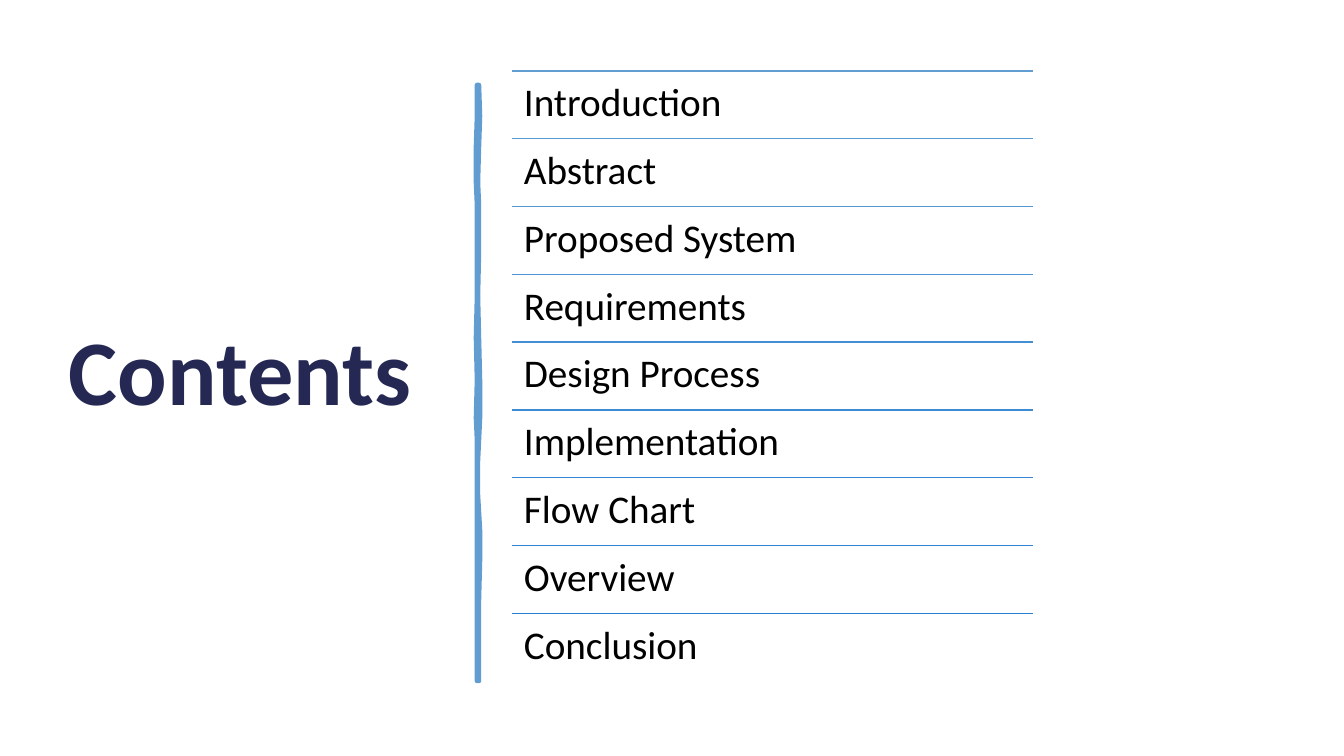
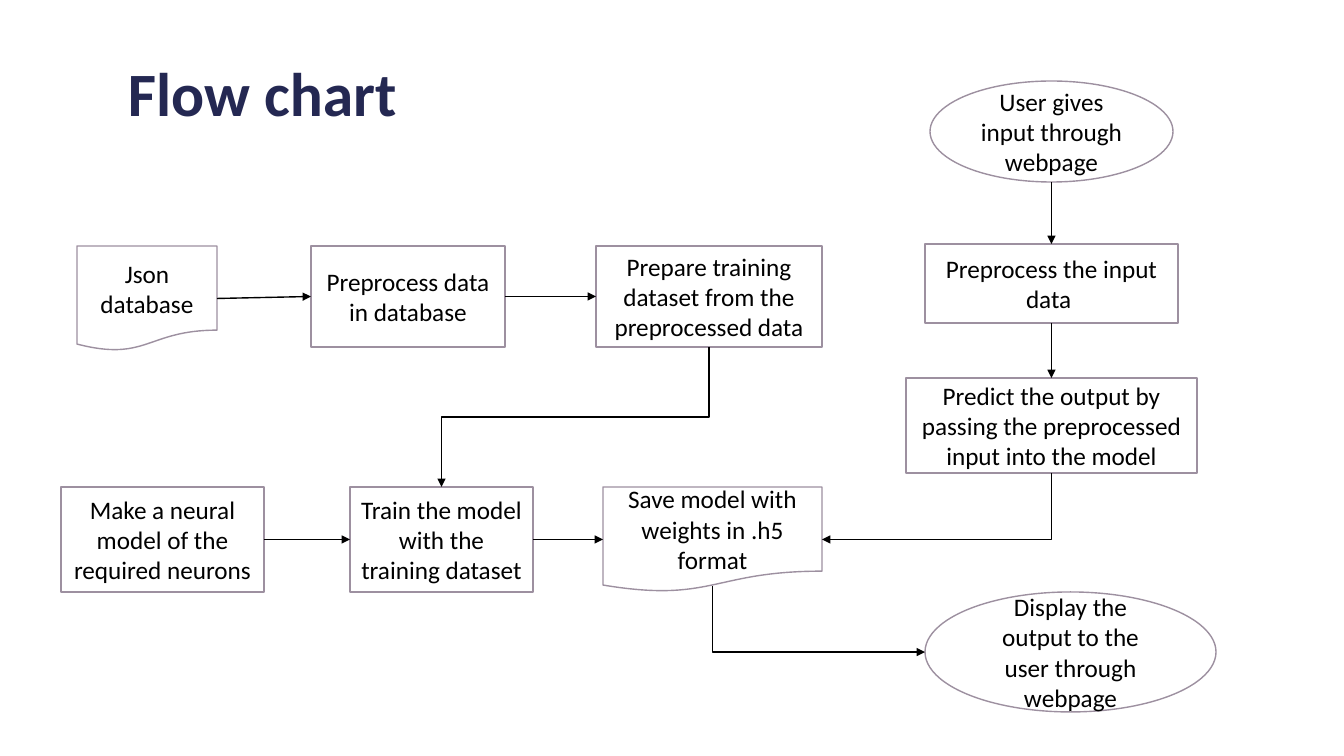
from dataclasses import dataclass

from lxml.etree import SubElement
from pptx import Presentation
from pptx.dml.color import RGBColor
from pptx.enum.shapes import MSO_CONNECTOR as Connector, MSO_SHAPE as Shape
from pptx.enum.text import MSO_ANCHOR as Anchor, PP_ALIGN as Align
from pptx.oxml.ns import qn
from pptx.util import Pt


@dataclass(frozen=True)
class Theme:
    """Colours, type sizes and line widths shared by the slides."""
    font: str = "Calibri"
    title: RGBColor = RGBColor(0x24, 0x28, 0x52)
    text: RGBColor = RGBColor(0, 0, 0)
    paper: RGBColor = RGBColor(255, 255, 255)
    outline: RGBColor = RGBColor(0x9D, 0x90, 0xA0)
    rule_first: RGBColor = RGBColor(0x62, 0x9D, 0xD1)
    rule_last: RGBColor = RGBColor(0x29, 0x7F, 0xD5)
    big_title_size: float = 66
    title_size: float = 44
    topic_size: float = 28
    node_size: float = 18
    line_width: float = 1
    bar_width: float = 3.25


THEME = Theme()
EMU_PER_PIXEL = 914400 / 100.8
SLIDE_SIZE = (1344, 756)

CONTENTS_TITLE = ("Contents", (59, 285, 377, 181))
TOPICS = ["Introduction", "Abstract", "Proposed System", "Requirements",
          "Design Process", "Implementation", "Flow Chart", "Overview",
          "Conclusion"]
TOPIC_AREA = (512, 71, 521, 610)
TOPIC_INSET = 12
# y, left x and right x down the hand-drawn bar
BAR_EDGES = [
    (85, 477, 479), (116, 477, 480), (147, 476, 479), (182, 476, 478),
    (205, 477, 479), (252, 477, 479), (296, 477, 478), (338, 476, 479),
    (380, 477, 480), (418, 476, 480), (440, 477, 479), (461, 477, 478),
    (495, 477, 478), (530, 477, 480), (561, 477, 480), (600, 477, 479),
    (640, 477, 479), (681, 477, 479)]

FLOW_TITLE = ("Flow chart", (118, 17, 1109, 160))
DOCUMENT, PROCESS, OVAL = (Shape.FLOWCHART_DOCUMENT, Shape.FLOWCHART_PROCESS,
                           Shape.OVAL)
DOCUMENT_FOOT = 0.94  # share of a document's height where its wave is met
NODES = {
    "database": (DOCUMENT, (77, 246, 140, 105), "Json database"),
    "preprocess": (PROCESS, (311, 246, 194, 101),
                   "Preprocess data in database"),
    "prepare": (PROCESS, (596, 246, 226, 101),
                "Prepare training dataset from the preprocessed data"),
    "neural": (PROCESS, (61, 487, 203, 105),
               "Make a neural model of the required neurons"),
    "train": (PROCESS, (350, 487, 183, 105),
              "Train the model with the training dataset"),
    "save": (DOCUMENT, (603, 487, 219, 105),
             "Save model with weights in .h5 format"),
    "user": (OVAL, (930, 81, 243, 101), "User gives input through webpage"),
    "input": (PROCESS, (925, 244, 253, 79), "Preprocess the input data "),
    "predict": (PROCESS, (906, 378, 291, 95),
                "Predict the output by passing the preprocessed input "
                "into the model"),
    "display": (OVAL, (925, 592, 291, 120),
                "Display the output to the user through webpage"),
}
STRAIGHT_LINKS = [
    ("database", "right", "preprocess", "left"),
    ("preprocess", "right", "prepare", "left"),
    ("neural", "right", "train", "left"),
    ("train", "right", "save", "left"),
    ("user", "bottom", "input", "top"),
    ("input", "bottom", "predict", "top"),
]
BENT_LINKS = [
    ("prepare", "bottom", "train", "top", "bentConnector3"),
    ("predict", "bottom", "save", "right", "bentConnector2"),
    ("save", "bottom", "display", "left", "bentConnector2"),
]


def emu(*pixels):
    """Turn pixel lengths into a list of EMU."""
    return [round(pixel * EMU_PER_PIXEL) for pixel in pixels]


def blend(first, last, share):
    """Return the colour at a share of the way between two colours."""
    return RGBColor(*(round(a + (b - a) * share) for a, b in zip(first, last)))


def write(shape, text, *, size, color=THEME.text, bold=False, align=Align.LEFT,
          anchor=Anchor.TOP, spacing=None, inset=None):
    """Put one formatted paragraph in a shape."""
    frame = shape.text_frame
    frame.word_wrap = True
    frame.vertical_anchor = anchor
    if inset is not None:
        margin, = emu(inset)
        frame.margin_left = frame.margin_right = margin
        frame.margin_top = frame.margin_bottom = margin
    paragraph = frame.paragraphs[0]
    paragraph.alignment = align
    if spacing:
        paragraph.line_spacing = spacing
    run = paragraph.add_run()
    run.text = text
    run.font.name, run.font.size, run.font.bold = THEME.font, Pt(size), bold
    run.font.color.rgb = color


def paint(shape, fill, line, width):
    """Give a shape a flat fill and outline without a shadow."""
    shape.shadow.inherit = False
    shape.fill.solid()
    shape.fill.fore_color.rgb = fill
    shape.line.color.rgb = line
    shape.line.width = Pt(width)


def add_title(slide, title, size):
    """Add a slide title in the shared style."""
    text, box = title
    write(slide.shapes.add_textbox(*emu(*box)), text, size=size, bold=True,
          color=THEME.title, anchor=Anchor.MIDDLE, spacing=0.9)


def add_line(slide, start, end, color, *, kind=Connector.STRAIGHT, arrow=False):
    """Add a connector, with an arrowhead at its end if asked."""
    line = slide.shapes.add_connector(kind, *emu(*start, *end))
    line.line.color.rgb = color
    line.line.width = Pt(THEME.line_width)
    properties = line.element.spPr
    if arrow:
        SubElement(properties.find(qn("a:ln")), qn("a:tailEnd"), type="triangle")
    SubElement(properties, qn("a:effectLst"))
    return line


def add_bent_arrow(slide, start, end, preset):
    """Add an elbow arrow that leaves its start downwards."""
    (x1, y1), (x2, y2) = start, end
    middle_x, middle_y = (x1 + x2) / 2, (y1 + y2) / 2
    half_width, half_height = abs(y2 - y1) / 2, abs(x2 - x1) / 2
    arrow = add_line(slide, (middle_x - half_width, middle_y - half_height),
                     (middle_x + half_width, middle_y + half_height),
                     THEME.text, kind=Connector.ELBOW, arrow=True)
    properties = arrow.element.spPr
    properties.find(qn("a:prstGeom")).set("prst", preset)
    frame = properties.find(qn("a:xfrm"))
    goes_right = x2 > x1
    frame.set("rot", str((270 if goes_right else 90) * 60000))
    if goes_right:
        frame.set("flipH", "1")


def port(name, side):
    """Return the point where links meet one side of a node."""
    kind, (left, top, width, height), _ = NODES[name]
    foot = height * (DOCUMENT_FOOT if kind == DOCUMENT else 1)
    return {"left": (left, top + height / 2),
            "right": (left + width, top + height / 2),
            "top": (left + width / 2, top),
            "bottom": (left + width / 2, top + foot)}[side]


def build_contents(slide):
    """Draw the title, the bar and the ruled list of topics."""
    add_title(slide, CONTENTS_TITLE, THEME.big_title_size)
    outline = [(right, y) for y, _, right in BAR_EDGES]
    outline += [(left, y) for y, left, _ in reversed(BAR_EDGES)]
    builder = slide.shapes.build_freeform(*outline[0], scale=EMU_PER_PIXEL)
    builder.add_line_segments(outline[1:], close=True)
    paint(builder.convert_to_shape(), THEME.rule_first, THEME.rule_first,
          THEME.bar_width)

    left, top, width, height = TOPIC_AREA
    row_height = height / len(TOPICS)
    for index, topic in enumerate(TOPICS):
        y = top + index * row_height
        color = blend(THEME.rule_first, THEME.rule_last,
                      index / (len(TOPICS) - 1))
        add_line(slide, (left, y), (left + width, y), color)
        write(slide.shapes.add_textbox(*emu(left, y, width, row_height)), topic,
              size=THEME.topic_size, spacing=0.9, inset=TOPIC_INSET)


def build_flow_chart(slide):
    """Draw the title, the nodes and the arrows between them."""
    add_title(slide, FLOW_TITLE, THEME.title_size)
    for kind, box, text in NODES.values():
        node = slide.shapes.add_shape(kind, *emu(*box))
        paint(node, THEME.paper, THEME.outline, THEME.line_width)
        write(node, text, size=THEME.node_size, align=Align.CENTER,
              anchor=Anchor.MIDDLE)
    for source, exit_side, target, entry_side in STRAIGHT_LINKS:
        add_line(slide, port(source, exit_side), port(target, entry_side),
                 THEME.text, arrow=True)
    for source, exit_side, target, entry_side, preset in BENT_LINKS:
        add_bent_arrow(slide, port(source, exit_side), port(target, entry_side),
                       preset)


def main():
    """Build and save the presentation."""
    presentation = Presentation()
    presentation.slide_width, presentation.slide_height = emu(*SLIDE_SIZE)
    blank = presentation.slide_layouts[6]
    for build in (build_contents, build_flow_chart):
        build(presentation.slides.add_slide(blank))
    presentation.save("out.pptx")


main()
